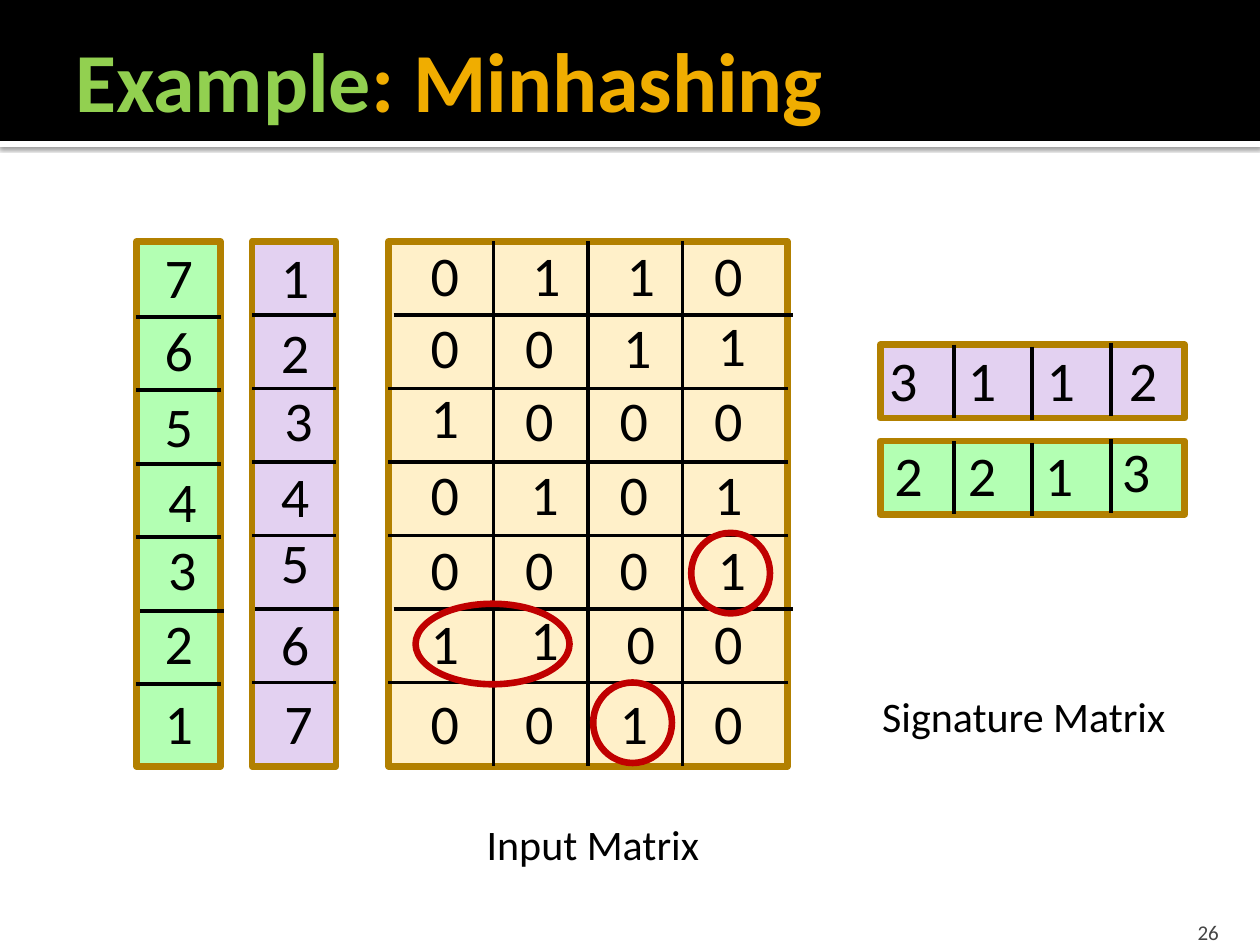
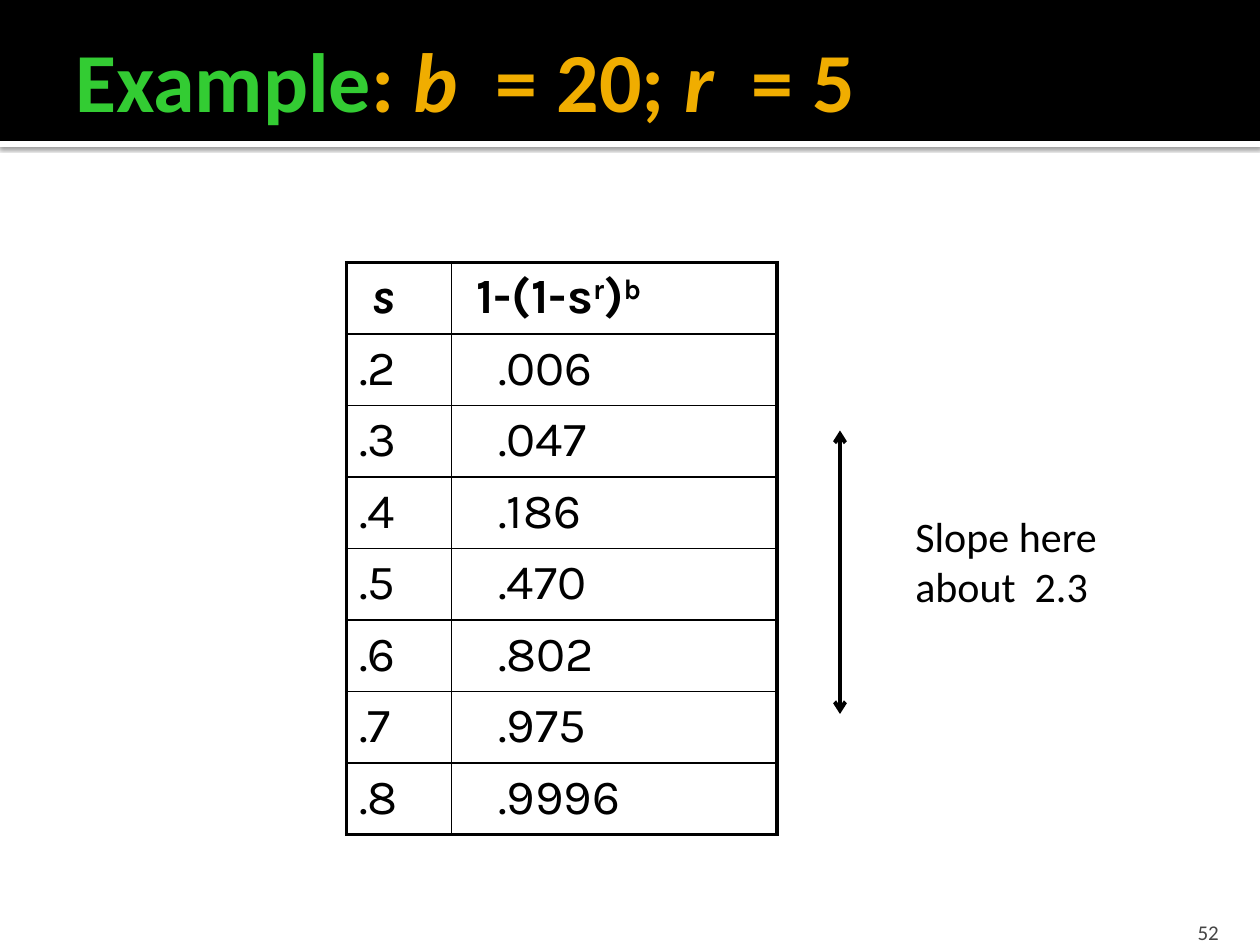
from lxml.etree import SubElement
from pptx import Presentation
from pptx.dml.color import RGBColor
from pptx.enum.shapes import MSO_CONNECTOR as CONN, MSO_SHAPE as SHAPE
from pptx.enum.text import MSO_ANCHOR as ANCHOR, PP_ALIGN as ALIGN
from pptx.oxml import parse_xml
from pptx.oxml.ns import nsdecls, qn
from pptx.util import Pt

COLORS = {
    "black": "000000", "white": "FFFFFF", "gold": "F0AD00", "leaf": "92D050",
    "green": "33CC33", "gray": "454545", "brown": "B28000", "red": "C00000",
    "cream": "FFF0C9", "mint": "B3FFB3", "lilac": "E3D1F1",
}
FONT = {"name": "Calibri", "bold": False, "italic": False}
TITLE = {"size": Pt(48), "bold": True}
DIGIT = {"size": Pt(32)}
LABEL = {"size": Pt(24)}
NUMBER = {"size": Pt(12), "color": "gray"}
CELL = {"size": Pt(28), "name": "Karla"}
THIN, LINE, FRAME = 1, 2.25, 3.78

MINHASH_TITLE = [("Example", {"color": "leaf"}), (": Minhashing", {})]
BANDS_TITLE = [
    ("Example", {"color": "green"}), (": ", {}), ("b", {"italic": True}),
    ("  = 20; ", {}), ("r", {"italic": True}), ("  = 5", {}),
]

COLUMN_RULES = [180 + 42 * k for k in range(6)]
SIGNATURE_RULES = [545 + 45 * k for k in range(3)]
GRIDS = [
    {
        "frame": (222, 138, 228, 300), "fill": "cream",
        "values": ["0110", "0011", "1000", "0101", "0001", "1100", "0010"],
        "xs": [239 + 54 * k for k in range(4)],
        "ys": [134, 175, 217, 259, 302, 344, 390],
        "rules": COLUMN_RULES, "rule_shift": {0: 3, 4: 3},
        "dividers": [282 + 54 * k for k in range(3)],
        "nudges": {(0, 1): (4, 0), (3, 1): (3, 0), (5, 1): (3, -2),
                   (0, 2): (4, 0), (1, 2): (2, 0), (5, 2): (4, 0),
                   (1, 3): (2, -1), (4, 3): (2, 0), (2, 0): (0, -2)},
    },
    {
        "frame": (78, 138, 48, 300), "fill": "mint", "values": "7654321",
        "xs": [87], "ys": [135, 177, 220, 263, 302, 344, 390],
        "rules": [y + 1 for y in COLUMN_RULES], "rule_shift": {4: 2},
        "nudges": {(3, 0): (2, 0), (4, 0): (2, 0)},
    },
    {
        "frame": (144, 138, 48, 300), "fill": "lilac", "values": "1234567",
        "xs": [153.5], "ys": [135, 178, 217, 260, 298, 345, 390],
        "rules": COLUMN_RULES, "rule_shift": {4: 2},
        "nudges": {(2, 0): (2, 0), (6, 0): (2, 0)},
    },
    {
        "frame": (503, 252, 174, 42), "fill": "mint", "values": ["2213"],
        "xs": [504, 546, 590, 634], "ys": [248],
        "dividers": SIGNATURE_RULES, "divider_shift": {1: 1, 2: -1},
        "nudges": {(0, 3): (0, -2)},
    },
    {
        "frame": (503, 197, 174, 42), "fill": "lilac", "values": ["3112"],
        "xs": [501, 546, 591, 638], "ys": [194],
        "dividers": SIGNATURE_RULES, "divider_shift": {1: 1, 2: -1},
    },
]
MATRIX_LABELS = [("Input Matrix", (271, 464, 137, 36)),
                 ("Signature Matrix", (497, 391, 182, 36))]
FIRST_ONES = [(237.5, 345, 88, 46), (339, 390, 45, 46), (395, 304.5, 45, 46)]

CURVE_HEAD = [
    [("s", {"italic": True})],
    [("1-(1-s", {}), ("r", {"raised": True}), (")", {}), ("b", {"raised": True})],
]
CURVE = [(".2", ".006"), (".3", ".047"), (".4", ".186"), (".5", ".470"),
         (".6", ".802"), (".7", ".975"), (".8", ".9996")]
CURVE_AT, CURVE_WIDTHS, ROW_HEIGHT = (198, 150), (60, 186), 40
SLOPE_NOTE = ["Slope here", "about  2.3"]
SLOPE_X, SLOPE_MIDDLE, SLOPE_ENDS = 480, 330, (246, 408)


def rgb(name):
    return RGBColor.from_string(COLORS[name])


def pts(values):
    return [Pt(v) for v in values]


def add_runs(p, runs, base):
    for text, extra in runs:
        r = p.add_run()
        r.text = text
        style = {**FONT, "color": "black", **base, **extra}
        r.font.color.rgb = rgb(style.pop("color"))
        if style.pop("raised", False):
            r._r.get_or_add_rPr().set("baseline", "30000")
        for key, value in style.items():
            setattr(r.font, key, value)


def add_text(s, at, lines, base, wrap=False, **frame):
    tf = s.shapes.add_textbox(*pts(at)).text_frame
    tf.word_wrap = wrap
    for key, value in frame.items():
        setattr(tf, key, value)
    for i, runs in enumerate(lines):
        p = tf.add_paragraph() if i else tf.paragraphs[0]
        add_runs(p, runs, base)
    return tf


def add_box(s, at, fill=None, line=None, kind=SHAPE.RECTANGLE):
    sp = s.shapes.add_shape(kind, *pts(at))
    sp.shadow.inherit = False
    if fill:
        sp.fill.solid()
        sp.fill.fore_color.rgb = rgb(fill)
    else:
        sp.fill.background()
    if line:
        sp.line.color.rgb = rgb(line)
        sp.line.width = Pt(FRAME)
    else:
        sp.line.fill.background()
    return sp


def add_line(s, x1, y1, x2, y2, arrow=False):
    c = s.shapes.add_connector(CONN.STRAIGHT, *pts((x1, y1, x2, y2)))
    c.line.color.rgb = rgb("black")
    c.line.width = Pt(LINE)
    if arrow:
        SubElement(c.line._get_or_add_ln(), qn("a:tailEnd"), type="arrow")
    SubElement(c._element.spPr, qn("a:effectLst"))


def add_slide(prs, title, number):
    s = prs.slides.add_slide(prs.slide_layouts[6])
    strip = add_box(s, (0, 80.5, 720, 3.5), "white")
    effects = strip._element.spPr.find(qn("a:effectLst"))
    effects.append(parse_xml(
        f'<a:outerShdw {nsdecls("a")} blurRad="{Pt(2.5)}" dist="{Pt(0.8)}" dir="5400000">'
        f'<a:srgbClr val="{COLORS["black"]}"><a:alpha val="60000"/></a:srgbClr></a:outerShdw>'))
    add_box(s, (0, 0, 720, 80.5), "black")
    add_text(s, (36, 12, 684, 66), [title], {**TITLE, "color": "gold"}, True,
             vertical_anchor=ANCHOR.MIDDLE, margin_right=Pt(3.6))
    tf = add_text(s, (646, 518, 57.6, 22), [[(number, {})]], NUMBER, True,
                  vertical_anchor=ANCHOR.BOTTOM, margin_bottom=0)
    tf.paragraphs[0].alignment = ALIGN.RIGHT
    return s


def add_grid(s, grid):
    x, y, w, h = grid["frame"]
    add_box(s, grid["frame"], grid["fill"], "brown")
    for k, rule in enumerate(grid.get("rules", [])):
        dx = grid["rule_shift"].get(k, 0)
        add_line(s, x + dx, rule, x + w + dx, rule)
    for k, divider in enumerate(grid.get("dividers", [])):
        dy = grid.get("divider_shift", {}).get(k, 0)
        add_line(s, divider, y + dy, divider, y + h + dy)
    for i, row in enumerate(grid["values"]):
        for j, digit in enumerate(row):
            dx, dy = grid.get("nudges", {}).get((i, j), (0, 0))
            at = (grid["xs"][j] + dx, grid["ys"][i] + dy, 31, 46)
            add_text(s, at, [[(digit, {})]], DIGIT)


def set_borders(cell, widths):
    for side, width in widths.items():
        ln = SubElement(cell._tc.get_or_add_tcPr(), qn("a:ln" + side), w=str(Pt(width)))
        fill = SubElement(ln, qn("a:solidFill"))
        SubElement(fill, qn("a:srgbClr"), val=COLORS["black"])


def add_curve_table(s):
    rows = [CURVE_HEAD] + [[[(v, {})] for v in pair] for pair in CURVE]
    last = len(rows) - 1
    size = (sum(CURVE_WIDTHS), ROW_HEIGHT * len(rows))
    table = s.shapes.add_table(len(rows), 2, *pts(CURVE_AT + size)).table
    table.first_row = table.horz_banding = False
    for column, width in zip(table.columns, CURVE_WIDTHS):
        column.width = Pt(width)
    for i, row in enumerate(rows):
        table.rows[i].height = Pt(ROW_HEIGHT)
        indents = (0, 19.5) if i else (7, 7)
        for j, runs in enumerate(row):
            cell = table.cell(i, j)
            cell.margin_left = Pt(7.2 + indents[j])
            add_runs(cell.text_frame.paragraphs[0], runs, {**CELL, "bold": i == 0})
            edges = {"L": j == 0, "R": j == 1, "T": i == 0, "B": i == last}
            set_borders(cell, {k: LINE if outer else THIN for k, outer in edges.items()})
            cell.fill.background()


def main():
    prs = Presentation()
    prs.slide_width, prs.slide_height = Pt(720), Pt(540)

    s = add_slide(prs, MINHASH_TITLE, "26")
    for grid in GRIDS:
        add_grid(s, grid)
    for text, at in MATRIX_LABELS:
        add_text(s, at, [[(text, {})]], LABEL)
    for at in FIRST_ONES:
        add_box(s, at, line="red", kind=SHAPE.OVAL)

    s = add_slide(prs, BANDS_TITLE, "52")
    add_curve_table(s)
    for end in SLOPE_ENDS:
        add_line(s, SLOPE_X, SLOPE_MIDDLE, SLOPE_X, end, arrow=True)
    add_text(s, (516, 288, 122, 65), [[(line, {})] for line in SLOPE_NOTE], LABEL)

    prs.save("out.pptx")


if __name__ == "__main__":
    main()
